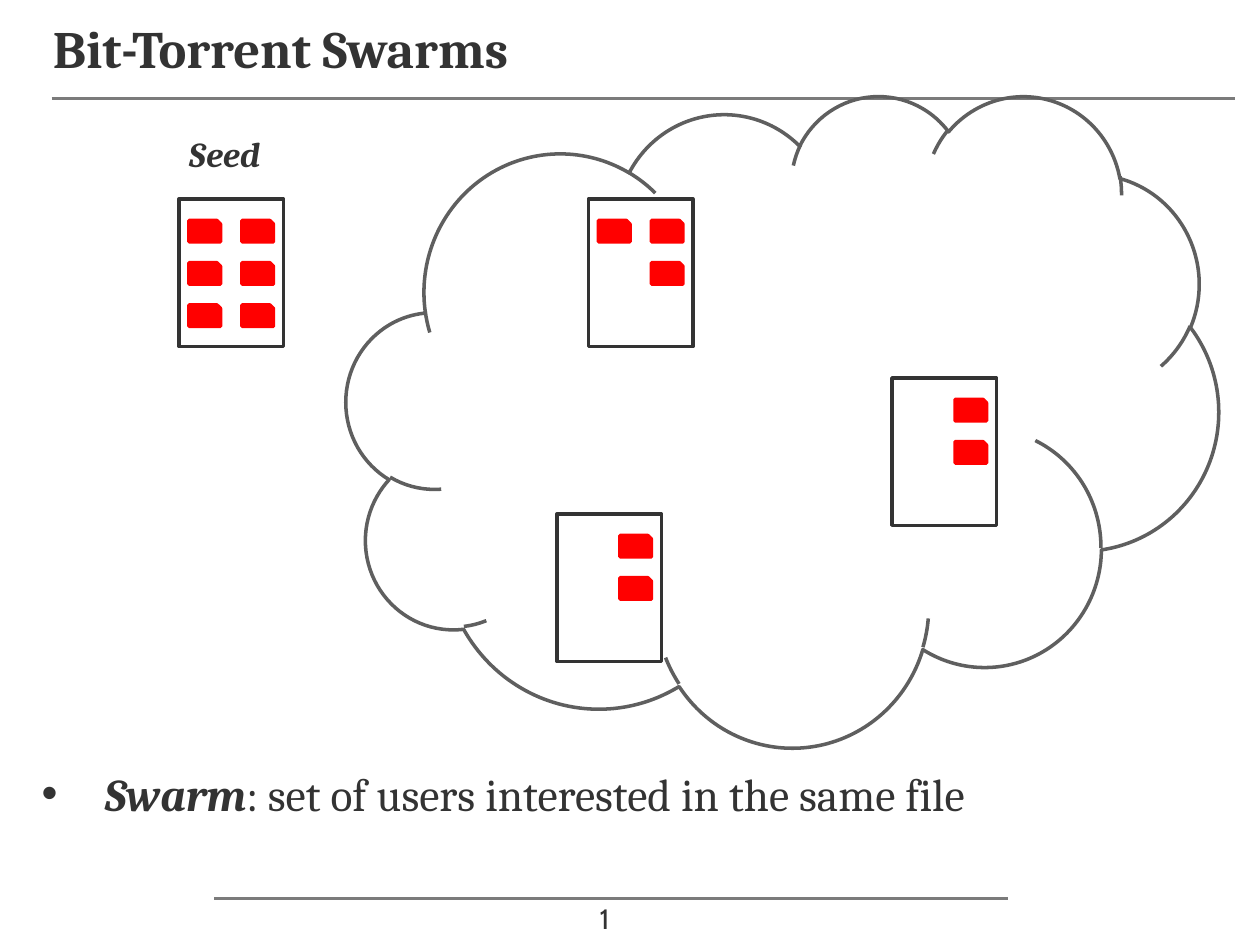
from lxml.etree import SubElement
from pptx import Presentation
from pptx.dml.color import RGBColor
from pptx.enum.shapes import MSO_CONNECTOR, MSO_SHAPE
from pptx.enum.text import MSO_ANCHOR, PP_ALIGN
from pptx.oxml.ns import qn
from pptx.util import Inches, Pt

COLORS = {"ink": "333333", "rule": "7B7B7B", "cloud": "5F5F5F", "chunk": "FF0000", "paper": "FFFFFF"}
TITLE = "Bit-Torrent Swarms"
SEED_LABEL = "Seed"
DEFINITION = [("Swarm", True), (": set of users interested in the same file", False)]
PAGE_NUMBER = "1"

RULES = [(0.41, 9.8, 0.78), (1.7, 8, 7.13)]
ALL_CHUNKS = [(column, row) for row in range(3) for column in range(2)]
PEERS = [
    ((1.42, 1.58), ALL_CHUNKS),
    ((4.67, 1.58), [(0, 0), (1, 0), (1, 1)]),
    ((4.42, 4.08), [(1, 0), (1, 1)]),
    ((7.08, 3), [(1, 0), (1, 1)]),
]
PEER_SIZE = (0.83, 1.17)
CHUNK_SIZE = (0.25, 0.17)
CHUNK_INSET = (0.08, 0.17)
CHUNK_PITCH = (0.42, 0.335)
CLOUD_BOX = (2.75, 0.75, 6.92, 5.17)


def color(name):
    return RGBColor.from_string(COLORS[name])


def add_outline(slide, kind, box, line, fill=None):
    shape = slide.shapes.add_shape(kind, *map(Inches, box))
    shape.shadow.inherit = False
    if fill:
        shape.fill.solid()
        shape.fill.fore_color.rgb = color(fill)
    else:
        shape.fill.background()
    shape.line.color.rgb = color(line)
    shape.line.width = Pt(2)


def add_rule(slide, left, right, y):
    rule = slide.shapes.add_connector(
        MSO_CONNECTOR.STRAIGHT, Inches(left), Inches(y), Inches(right), Inches(y))
    rule.line.color.rgb = color("rule")
    rule.line.width = Pt(1.5)
    SubElement(rule._element.spPr, qn("a:effectLst"))


def write(shape, box, runs, size, font="Cambria", inset=0.05, anchor=MSO_ANCHOR.TOP):
    shape.left, shape.top, shape.width, shape.height = map(Inches, box)
    frame = shape.text_frame
    frame.word_wrap = True
    frame.vertical_anchor = anchor
    frame.margin_left = frame.margin_right = 0
    frame.margin_top = frame.margin_bottom = Inches(inset)
    paragraph = frame.paragraphs[0]
    paragraph.alignment = PP_ALIGN.LEFT
    for text, bold, italic in runs:
        run = paragraph.add_run()
        run.text = text
        run.font.name = font
        run.font.size = Pt(size)
        run.font.bold = bold
        run.font.italic = italic
        run.font.color.rgb = color("ink")
    return paragraph


def add_text(slide, box, *args, **options):
    return write(slide.shapes.add_textbox(*map(Inches, box)), box, *args, **options)


def add_bullet(paragraph, indent):
    properties = paragraph._p.get_or_add_pPr()
    properties.set("marL", str(Inches(indent)))
    properties.set("indent", str(Inches(-indent)))
    SubElement(properties, qn("a:buFont"), typeface="Arial")
    SubElement(properties, qn("a:buChar"), char="•")


def add_peer(slide, corner, chunks):
    add_outline(slide, MSO_SHAPE.RECTANGLE, (*corner, *PEER_SIZE), "ink", "paper")
    for cell in chunks:
        place = [start + inset + pitch * index for start, inset, pitch, index
                 in zip(corner, CHUNK_INSET, CHUNK_PITCH, cell)]
        add_outline(slide, MSO_SHAPE.SNIP_1_RECTANGLE, (*place, *CHUNK_SIZE), "chunk", "chunk")


def main():
    """Build the slide about swarms and save it."""
    deck = Presentation()
    deck.slide_width, deck.slide_height = Inches(10), Inches(7.5)
    slide = deck.slides.add_slide(deck.slide_layouts[5])
    for rule in RULES:
        add_rule(slide, *rule)
    write(slide.shapes.title, (0.42, 0.08, 9.4, 0.7), [(TITLE, True, False)], 30)
    definition = add_text(slide, (0.33, 6.03, 9.39, 0.64),
                          [(text, strong, strong) for text, strong in DEFINITION], 26)
    add_bullet(definition, 0.5)
    for corner, chunks in PEERS:
        add_peer(slide, corner, chunks)
    add_text(slide, (4.76, 7.25, 0.32, 0.17), [(PAGE_NUMBER, False, False)], 16,
             font="Cabin", inset=0, anchor=MSO_ANCHOR.BOTTOM)
    add_outline(slide, MSO_SHAPE.CLOUD, CLOUD_BOX, "cloud")
    add_text(slide, (1.5, 1, 0.83, 0.42), [(SEED_LABEL, True, True)], 20)
    deck.save("out.pptx")


if __name__ == "__main__":
    main()
